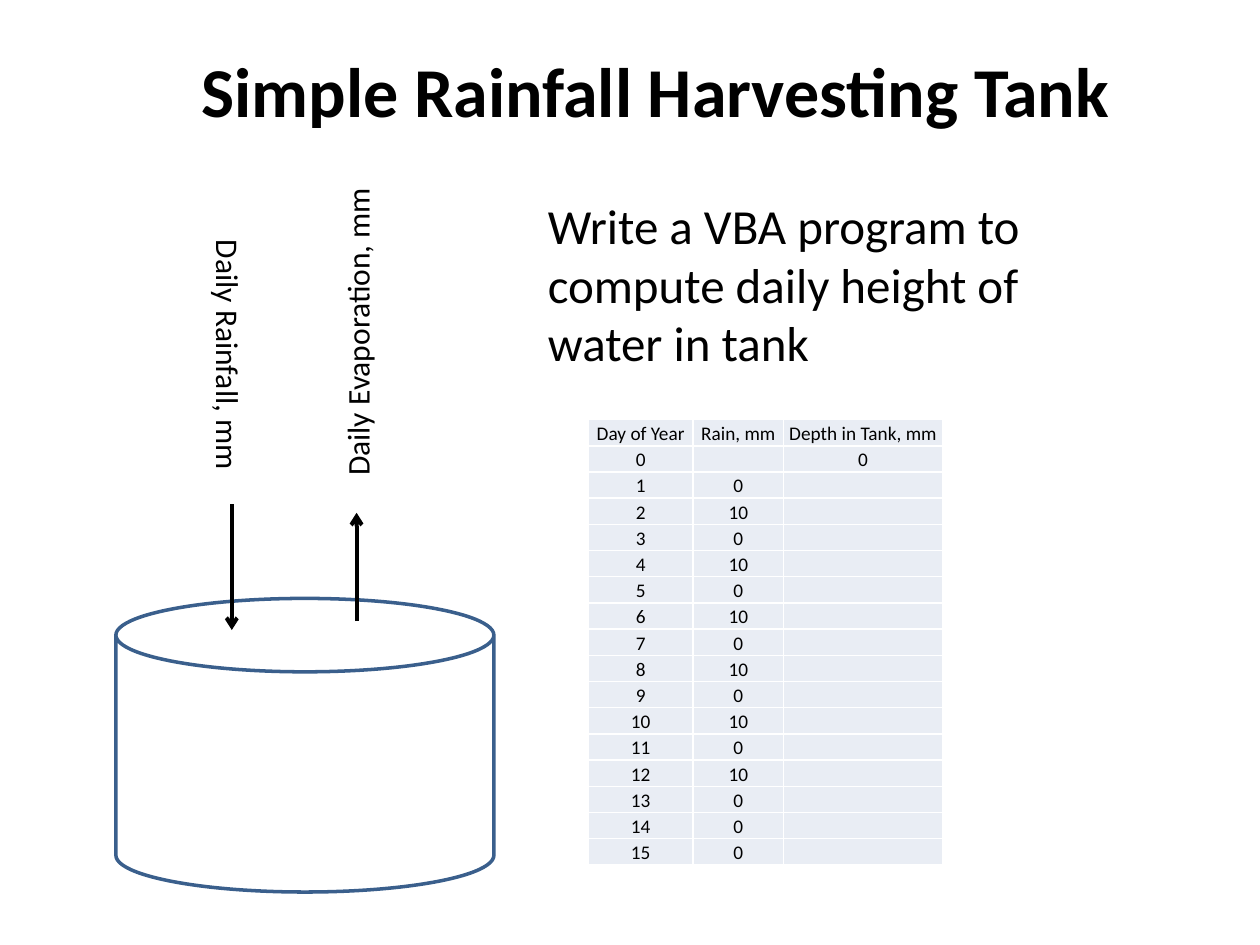
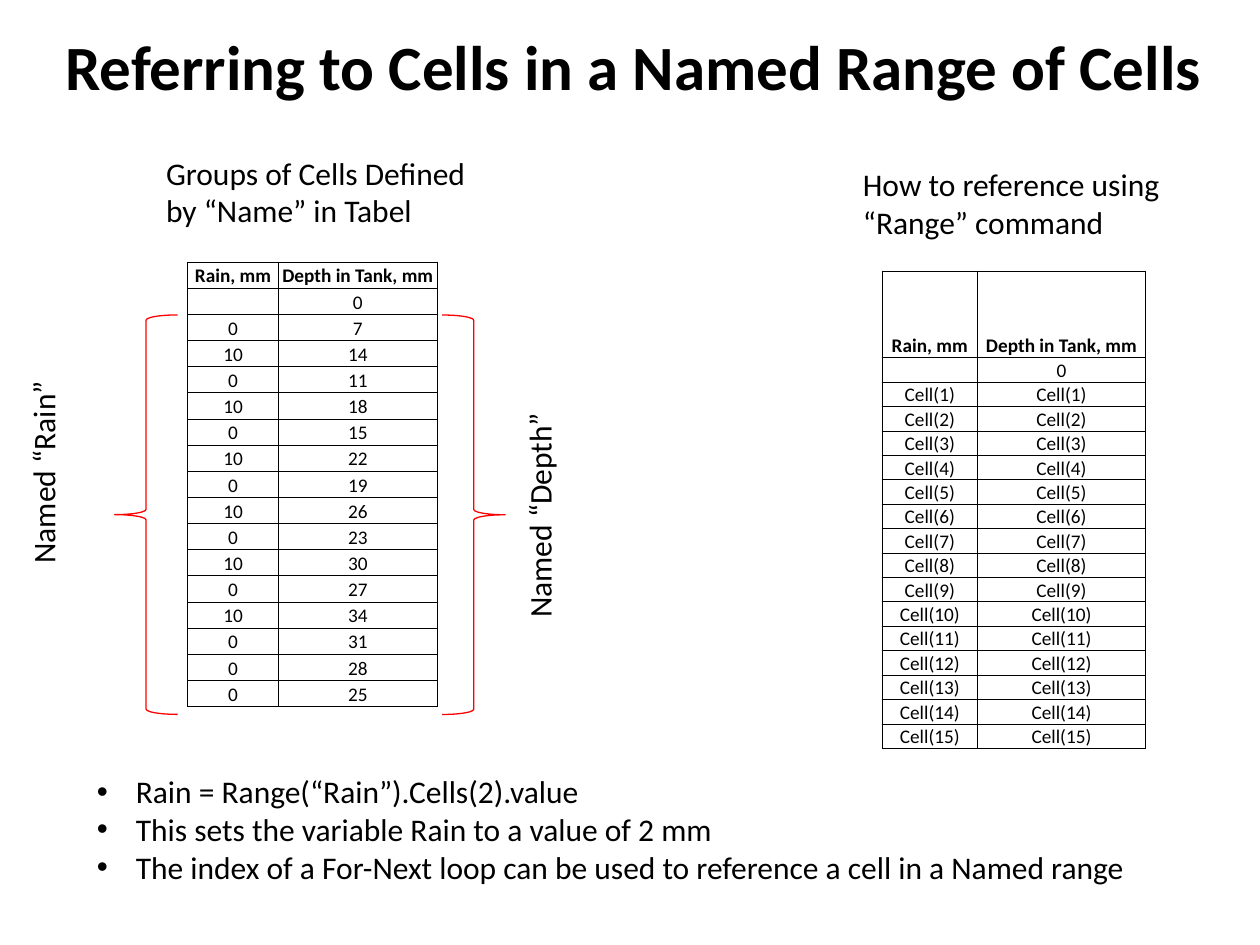
from lxml import etree
from pptx import Presentation
from pptx import util as u
from pptx.dml.color import RGBColor
from pptx.enum import shapes, text
from pptx.oxml import ns

FONT = "Calibri"
BLACK, WHITE = "000000", "FFFFFF"
TANK_BLUE, BRACE_RED, CELL_GREY = "3A5F8C", "FF0000", "E9EDF4"
LABEL_SIZE, CELL_SIZE = 18, 11

DAYS = range(1, 16)
RAIN = [10 if day % 2 == 0 and day <= 12 else 0 for day in DAYS]
DEPTHS = [7, 14, 11, 18, 15, 22, 19, 26, 23, 30, 27, 34, 31, 28, 25]
RAIN_HEAD, DEPTH_HEAD = "Rain, mm", "Depth in Tank, mm"


def color(hex_value):
    return RGBColor.from_string(hex_value)


def box_of(*lengths):
    return [u.Inches(length) for length in lengths]


def add_child(parent, tag, **attributes):
    return etree.SubElement(parent, ns.qn(tag), attributes)


def write(frame, content, size=LABEL_SIZE, bold=False, align=None, bullet=None):
    """Fill a text frame, one paragraph for each line of content."""
    for index, line in enumerate(content.split("\n")):
        paragraph = frame.paragraphs[0] if index == 0 else frame.add_paragraph()
        paragraph.alignment = align
        if bullet:
            indent = u.Inches(0.31)
            properties = paragraph._p.get_or_add_pPr()
            properties.set("marL", str(indent))
            properties.set("indent", str(-indent))
            add_child(properties, "a:buFont", typeface="Arial")
            add_child(properties, "a:buChar", char=bullet)
        if not line:
            # An empty cell keeps the small size so its row stays low
            add_child(paragraph._p, "a:endParaRPr", sz=str(size * 100))
            continue
        run = paragraph.add_run()
        run.text = line
        run.font.name = FONT
        run.font.size = u.Pt(size)
        run.font.bold = bold
        run.font.color.rgb = color(BLACK)


def add_text(slide, box, content, wrap=False, rotation=0, **style):
    label = slide.shapes.add_textbox(*box_of(*box))
    label.rotation = rotation
    label.text_frame.word_wrap = wrap
    label.text_frame.auto_size = text.MSO_AUTO_SIZE.SHAPE_TO_FIT_TEXT
    write(label.text_frame, content, **style)


def add_title(slide, box, content, size):
    add_text(slide, box, content, size=size, bold=True)


def add_outline(slide, preset, box, line_color, width, rotation=0):
    outline = slide.shapes.add_shape(preset, *box_of(*box))
    outline.shadow.inherit = False
    outline.rotation = rotation
    outline.fill.background()
    outline.line.color.rgb = color(line_color)
    outline.line.width = u.Pt(width)


def add_arrow(slide, x, start_y, end_y):
    arrow = slide.shapes.add_connector(
        shapes.MSO_CONNECTOR.STRAIGHT, *box_of(x, start_y, x, end_y))
    arrow.line.color.rgb = color(BLACK)
    arrow.line.width = u.Pt(2.25)
    add_child(arrow.line._get_or_add_ln(), "a:tailEnd", type="arrow")
    add_child(arrow._element.spPr, "a:effectLst")


def set_borders(cell, line_color, width):
    properties = cell._tc.get_or_add_tcPr()
    for side in ("a:lnL", "a:lnR", "a:lnT", "a:lnB"):
        line = add_child(properties, side, w=str(u.Pt(width)))
        add_child(add_child(line, "a:solidFill"), "a:srgbClr", val=line_color)


def add_grid(slide, box, columns, rows, border, head_height=None,
             fill=None, bold_head=False):
    """Draw a table; rows below the head share the height that is left."""
    left, top, width, height = box
    head_height = head_height or height / len(rows)
    row_height = (height - head_height) / (len(rows) - 1)
    table = slide.shapes.add_table(len(rows), len(columns), *box_of(*box)).table
    table.first_row = table.horz_banding = False
    for column, column_width in zip(table.columns, columns):
        column.width = u.Inches(column_width)
    for r, values in enumerate(rows):
        table.rows[r].height = u.Inches(row_height if r else head_height)
        for c, value in enumerate(values):
            cell = table.cell(r, c)
            cell.margin_left = cell.margin_right = cell.margin_top = u.Inches(0.01)
            cell.margin_bottom = 0
            cell.vertical_anchor = text.MSO_ANCHOR.BOTTOM
            set_borders(cell, *border)
            if fill:
                cell.fill.solid()
                cell.fill.fore_color.rgb = color(fill)
            else:
                cell.fill.background()
            write(cell.text_frame, str(value), size=CELL_SIZE,
                  bold=bold_head and r == 0, align=text.PP_ALIGN.CENTER)


def draw_tank(slide, box):
    """Tank with rain falling in and evaporation rising out."""
    left, top, width, height = box
    rain_x, evaporation_x = left + 0.92, left + 1.91
    add_outline(slide, shapes.MSO_SHAPE.CAN, box, TANK_BLUE, 2)
    add_arrow(slide, rain_x, top - 0.75, top + 0.25)
    add_arrow(slide, evaporation_x, top + 0.18, top - 0.68)
    add_text(slide, (rain_x - 1.05, top - 2.12, 2.05, 0.4),
             "Daily Rainfall, mm", rotation=90)
    add_text(slide, (evaporation_x - 1.25, top - 2.33, 2.51, 0.4),
             "Daily Evaporation, mm", rotation=270)


def draw_named_ranges(slide, box):
    """Table of values with a brace and a name on each side."""
    left, top, width, height = box
    rows = [(RAIN_HEAD, DEPTH_HEAD), ("", 0), *zip(RAIN, DEPTHS)]
    add_text(slide, (left - 0.27, top - 0.91, 2.7, 0.71),
             "Groups of Cells Defined by “Name” in Tabel", wrap=True)
    add_grid(slide, box, (0.72, 1.26), rows, (BLACK, 0.5), bold_head=True)
    for brace_x, rotation in ((left - 0.58, 0), (left + 2.02, 180)):
        add_outline(slide, shapes.MSO_SHAPE.LEFT_BRACE,
                    (brace_x, top + 0.42, 0.5, 3.17), BRACE_RED, 0.75, rotation)
    add_text(slide, (left - 1.98, top + 1.46, 1.66, 0.4),
             "Named “Rain”", rotation=270)
    add_text(slide, (left + 1.87, top + 1.8, 1.84, 0.4),
             "Named “Depth”", rotation=270)


def draw_cell_references(slide, box):
    """Table of the cell index that belongs to each value."""
    left, top, width, height = box
    references = [(f"Cell({day})",) * 2 for day in DAYS]
    rows = [(RAIN_HEAD, DEPTH_HEAD), ("", 0), *references]
    add_grid(slide, box, (0.76, 1.33), rows, (BLACK, 0.5),
             head_height=0.69, bold_head=True)
    add_text(slide, (left - 0.25, top - 0.89, 2.65, 0.71),
             "How to reference using “Range” command", wrap=True)


def build_tank_slide(slide):
    add_title(slide, (1.5, 0.33, 7.49, 0.77), "Simple Rainfall Harvesting Tank", 40)
    draw_tank(slide, (0.92, 4.75, 3, 2.33))
    add_text(slide, (4.25, 1.5, 4, 1.51),
             "Write a VBA program to compute daily height of water in tank",
             wrap=True, size=28)
    # Depths are left open for the reader to compute
    rows = [("Day of Year", RAIN_HEAD, DEPTH_HEAD), (0, "", 0)]
    rows += [(day, rain, "") for day, rain in zip(DAYS, RAIN)]
    add_grid(slide, (4.67, 3.33, 2.82, 3.54), (0.83, 0.72, 1.26), rows,
             (WHITE, 1), fill=CELL_GREY)


def build_range_slide(slide):
    add_title(slide, (0.42, 0.17, 9.31, 0.71),
              "Referring to Cells in a Named Range of Cells", 36)
    draw_named_ranges(slide, (1.49, 2.08, 1.99, 3.53))
    draw_cell_references(slide, (7, 2.15, 2.08, 3.79))
    add_text(slide, (0.67, 6.08, 8.47, 1.01),
             "Rain = Range(“Rain”).Cells(2).value\n"
             "This sets the variable Rain to a value of 2 mm\n"
             "The index of a For-Next loop can be used to reference "
             "a cell in a Named range", bullet="•")


def main():
    deck = Presentation()
    deck.slide_width, deck.slide_height = box_of(10, 7.5)
    blank = deck.slide_layouts[6]
    for build in (build_tank_slide, build_range_slide):
        build(deck.slides.add_slide(blank))
    deck.save("out.pptx")


if __name__ == "__main__":
    main()
